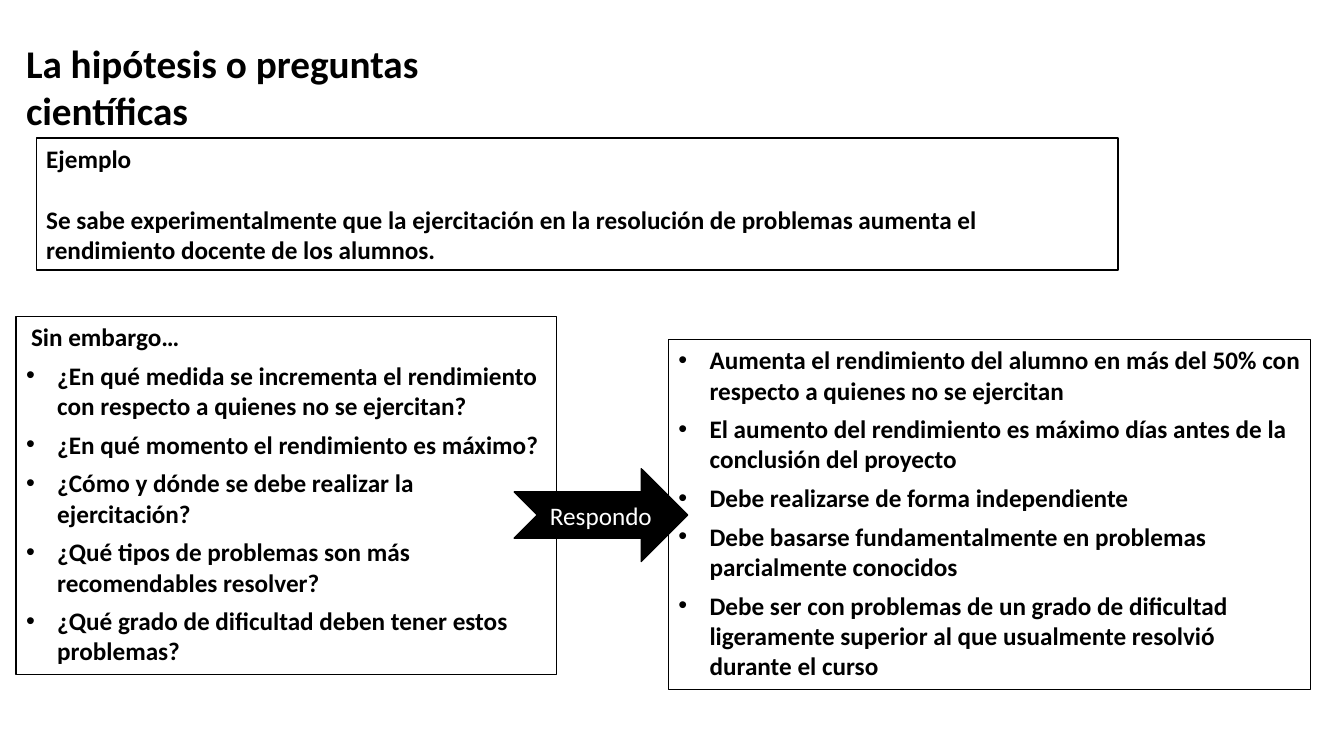
from lxml.etree import SubElement
from pptx import Presentation
from pptx.dml.color import RGBColor
from pptx.enum.shapes import MSO_SHAPE
from pptx.enum.text import MSO_ANCHOR, PP_ALIGN
from pptx.oxml.ns import qn
from pptx.util import Inches, Pt

BLACK = RGBColor(0x00, 0x00, 0x00)
WHITE = RGBColor(0xFF, 0xFF, 0xFF)

QUESTIONS = [
    "¿En qué medida se incrementa el rendimiento con respecto a quienes no se ejercitan?",
    "¿En qué momento el rendimiento es máximo?",
    "¿Cómo y dónde se debe realizar la ejercitación?",
    "¿Qué tipos de problemas son más recomendables resolver?",
    "¿Qué grado de dificultad deben tener estos problemas?",
]
ANSWERS = [
    "Aumenta el rendimiento del alumno en más del 50% con respecto a quienes no se ejercitan",
    "El aumento del rendimiento es máximo días antes de la conclusión del proyecto",
    "Debe realizarse de forma independiente",
    "Debe basarse fundamentalmente en problemas parcialmente conocidos",
    "Debe ser con problemas de un grado de dificultad ligeramente superior al que "
    "usualmente resolvió durante el curso",
]


class SlideBuilder:
    """Draws styled elements on the current slide."""

    font_name = "Calibri"
    body_size = 18
    title_size = 28
    bullet_indent = Inches(0.31)

    def __init__(self, page):
        self.page = page

    def add_span(self, para, text, size=body_size, color=BLACK, bold=True):
        span = para.add_run()
        span.text = text
        span.font.name = self.font_name
        span.font.size = Pt(size)
        span.font.bold = bold
        span.font.color.rgb = color

    def title(self, left, top, width, height, text):
        box = self.page.shapes.add_textbox(
            Inches(left), Inches(top), Inches(width), Inches(height))
        box.text_frame.word_wrap = True
        self.add_span(box.text_frame.paragraphs[0], text, self.title_size)

    def shape(self, kind, left, top, width, height, fill, anchor):
        shape = self.page.shapes.add_shape(
            kind, Inches(left), Inches(top), Inches(width), Inches(height))
        shape.shadow.inherit = False
        shape.fill.solid()
        shape.fill.fore_color.rgb = fill
        shape.line.color.rgb = BLACK
        shape.line.width = Pt(1)
        shape.text_frame.word_wrap = True
        shape.text_frame.vertical_anchor = anchor
        return shape.text_frame

    def panel(self, left, top, width, height, heading=None, lines=(),
              gap=6, heading_indent=0.0, bulleted=True):
        frame = self.shape(MSO_SHAPE.RECTANGLE, left, top, width, height,
                           WHITE, MSO_ANCHOR.TOP)
        texts = ([heading] if heading else []) + list(lines)
        for index, text in enumerate(texts):
            para = frame.add_paragraph() if index else frame.paragraphs[0]
            para.alignment = PP_ALIGN.LEFT
            para.space_after = Pt(gap)
            if text == heading:
                para._p.get_or_add_pPr().set("marL", str(Inches(heading_indent)))
            elif bulleted:
                self.bullet(para)
            self.add_span(para, text)

    def bullet(self, para):
        properties = para._p.get_or_add_pPr()
        properties.set("marL", str(self.bullet_indent))
        properties.set("indent", str(-self.bullet_indent))
        SubElement(properties, qn("a:buFont")).set("typeface", "Arial")
        SubElement(properties, qn("a:buChar")).set("char", "•")

    def arrow(self, left, top, width, height, text):
        frame = self.shape(MSO_SHAPE.NOTCHED_RIGHT_ARROW, left, top, width, height,
                           BLACK, MSO_ANCHOR.MIDDLE)
        para = frame.paragraphs[0]
        para.alignment = PP_ALIGN.CENTER
        self.add_span(para, text, color=WHITE, bold=False)


def main():
    deck = Presentation()
    deck.slide_width = Inches(13.33)
    deck.slide_height = Inches(7.5)
    builder = SlideBuilder(deck.slides.add_slide(deck.slide_layouts[6]))

    builder.title(0.16, 0.34, 5.57, 0.57, "La hipótesis o preguntas científicas")
    builder.panel(
        0.36, 1.37, 10.73, 1.31, "Ejemplo",
        ["Se sabe experimentalmente que la ejercitación en la resolución de problemas "
         "aumenta el rendimiento docente de los alumnos."],
        gap=22, bulleted=False)
    builder.panel(0.16, 3.14, 5.36, 3.55, "Sin embargo…", QUESTIONS, heading_indent=0.05)
    builder.panel(6.63, 3.37, 6.37, 3.47, lines=ANSWERS)
    builder.arrow(5.1, 4.65, 1.72, 0.92, "Respondo")

    deck.save("out.pptx")


if __name__ == "__main__":
    main()
